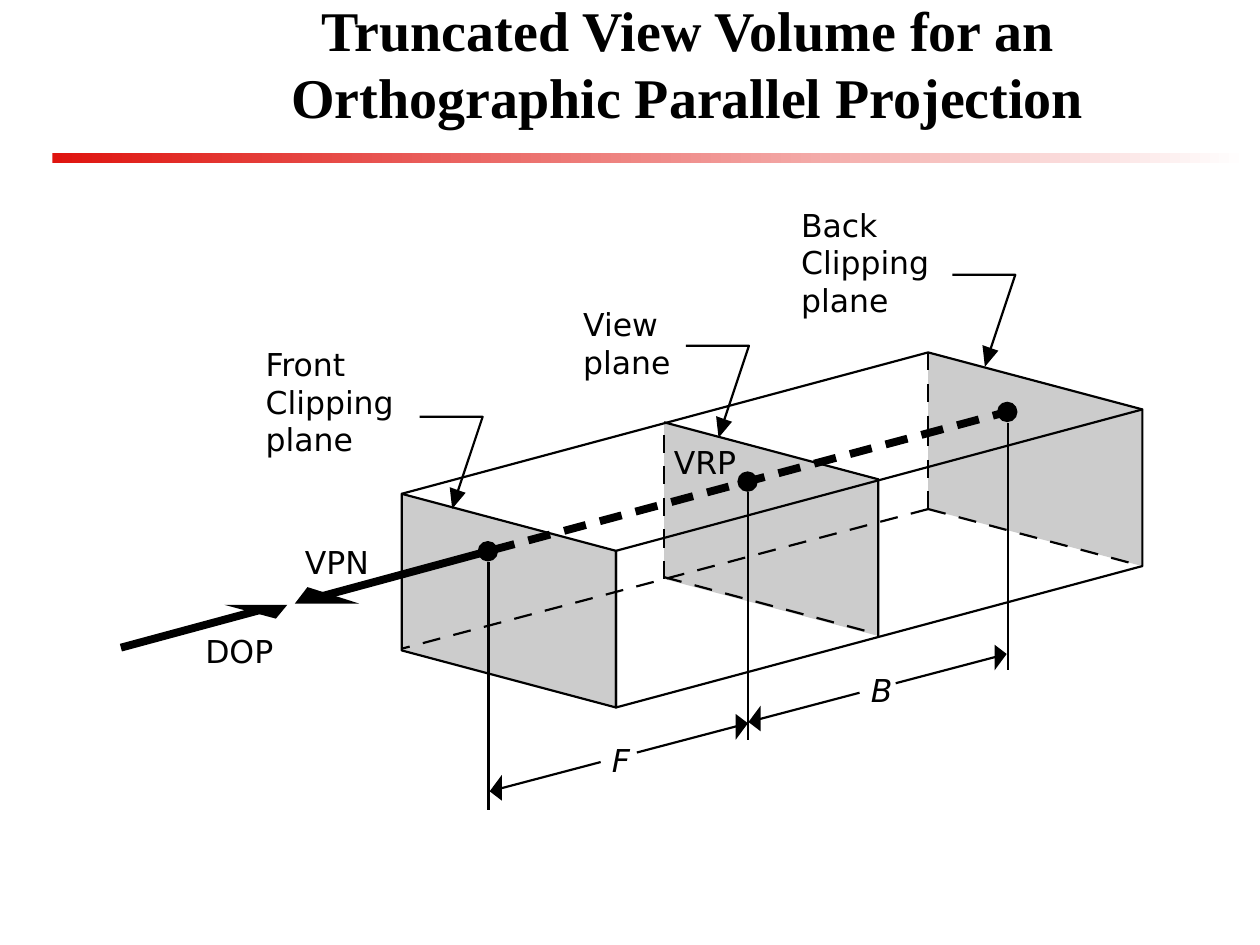
from dataclasses import dataclass
from math import ceil, dist
from typing import NamedTuple, Optional, Sequence

from lxml.etree import SubElement
from pptx import Presentation
from pptx.dml.color import RGBColor
from pptx.enum.shapes import MSO_CONNECTOR, MSO_SHAPE
from pptx.enum.text import MSO_ANCHOR, MSO_AUTO_SIZE, PP_ALIGN
from pptx.oxml.ns import qn
from pptx.util import Pt


class Point(NamedTuple):
    x: float
    y: float

    def moved(self, dx: float, dy: float) -> "Point":
        return Point(self.x + dx, self.y + dy)

    def toward(self, other: "Point", share: float) -> "Point":
        return self.moved((other.x - self.x) * share, (other.y - self.y) * share)


class Dash(NamedTuple):
    length: float
    period: float
    width: float


@dataclass(frozen=True)
class Theme:
    ink: RGBColor = RGBColor(0, 0, 0)
    plane: RGBColor = RGBColor(0xCC, 0xCC, 0xCC)
    rule_start: RGBColor = RGBColor(0xDF, 0x14, 0x0F)
    rule_end: RGBColor = RGBColor(0xFF, 0xFF, 0xFF)
    title_font: str = "Times New Roman"
    label_font: str = "DejaVu Sans"
    title_size: float = 32
    label_size: float = 18
    thin: float = 1.25
    thick: float = 4.5


@dataclass(frozen=True)
class Label:
    text: str
    corner: Point
    width: float
    height: float = 28.8
    italic: bool = False


@dataclass(frozen=True)
class Plane:
    top_left: Point

    @property
    def top_right(self) -> Point:
        return self.top_left.moved(122.4, 32.6)

    @property
    def bottom_right(self) -> Point:
        return self.top_right.moved(0, 89.5)

    @property
    def bottom_left(self) -> Point:
        return self.top_left.moved(0, 89.5)

    @property
    def corners(self) -> list[Point]:
        return [self.top_left, self.top_right, self.bottom_right, self.bottom_left]


THEME = Theme()
HIDDEN_EDGE = Dash(10.3, 18.03, THEME.thin)
HIDDEN_AXIS = Dash(12.9, 21.14, THEME.thick)
FRONT = Plane(Point(229.6, 282.2))
VIEW = Plane(Point(379.5, 241.3))
BACK = Plane(Point(530.4, 201.4))
REFERENCE_POINTS = [Point(278.8 + 148.4 * i, 315 - 39.8 * i) for i in range(3)]
CALLOUT_STARTS = [Point(239.8 + 152.2 * i, 238.2 - 40.6 * i) for i in range(3)]
DIMENSIONS = {"F": Point(279.8, 452.2), "B": Point(427.7, 412.6)}
LABELS = [
    Label("DOP", Point(110.2, 357.8), 58.3),
    Label("VPN", Point(167.2, 306.7), 56.9),
    Label("VRP", Point(378, 249.8), 55.4),
    Label("View\nplane", Point(326.2, 170.8), 69.8, 50.4),
    Label("Front\nClipping\nplane", Point(144.7, 193.5), 96.5, 72),
    Label("Back\nClipping\nplane", Point(450.7, 114), 96.5, 72),
]


def draw_path(shapes, points: Sequence[Point], closed: bool = False,
              fill: Optional[RGBColor] = None, outlined: bool = True) -> None:
    builder = shapes.build_freeform(Pt(points[0].x), Pt(points[0].y))
    builder.add_line_segments([(Pt(p.x), Pt(p.y)) for p in points[1:]], close=closed)
    path = builder.convert_to_shape()
    path.shadow.inherit = False
    if fill is None:
        path.fill.background()
    else:
        path.fill.solid()
        path.fill.fore_color.rgb = fill
    if outlined:
        path.line.color.rgb = THEME.ink
        path.line.width = Pt(THEME.thin)
    else:
        path.line.fill.background()


def draw_head(shapes, points: Sequence[Point]) -> None:
    draw_path(shapes, points, closed=True, fill=THEME.ink, outlined=False)


def draw_line(shapes, start: Point, end: Point, width: float = THEME.thin) -> None:
    edge = shapes.add_connector(MSO_CONNECTOR.STRAIGHT, Pt(start.x), Pt(start.y),
                                Pt(end.x), Pt(end.y))
    edge.line.color.rgb = THEME.ink
    edge.line.width = Pt(width)
    SubElement(edge._element.spPr, qn("a:effectLst"))


def draw_dashes(shapes, start: Point, end: Point, dash: Dash) -> None:
    total = dist(start, end)
    for i in range(ceil(total / dash.period)):
        begin = i * dash.period
        finish = min(begin + dash.length, total)
        draw_line(shapes, start.toward(end, begin / total),
                  start.toward(end, finish / total), dash.width)


def draw_dot(shapes, center: Point, size: float = 10.4) -> None:
    dot = shapes.add_shape(MSO_SHAPE.OVAL, Pt(center.x - size / 2),
                           Pt(center.y - size / 2), Pt(size), Pt(size))
    dot.shadow.inherit = False
    dot.fill.solid()
    dot.fill.fore_color.rgb = THEME.ink
    dot.line.color.rgb = THEME.ink
    dot.line.width = Pt(THEME.thin)


def draw_callout(shapes, start: Point) -> None:
    draw_path(shapes, [start, start.moved(36, 0), start.moved(21.8, 42.6)])
    draw_head(shapes, [start.moved(*offset) for offset in
                       ((21.6, 41.8), (26.3, 43.4), (18.6, 52.6), (17.2, 40.2))])


def draw_label(shapes, label: Label) -> None:
    caption = shapes.add_textbox(Pt(label.corner.x), Pt(label.corner.y),
                                 Pt(label.width), Pt(label.height))
    frame = caption.text_frame
    frame.text = label.text
    frame.word_wrap = False
    frame.auto_size = MSO_AUTO_SIZE.SHAPE_TO_FIT_TEXT
    for paragraph in frame.paragraphs:
        for run in paragraph.runs:
            run.font.name = THEME.label_font
            run.font.size = Pt(THEME.label_size)
            run.font.italic = label.italic
            run.font.color.rgb = THEME.ink


def draw_dimension(shapes, name: str, tip: Point) -> None:
    far_tip = tip.moved(147.6, -38.9)
    for inner, outer, point, side in ((0.43, 0.04, tip, 1), (0.57, 0.96, far_tip, -1)):
        draw_line(shapes, tip.toward(far_tip, inner), tip.toward(far_tip, outer))
        draw_head(shapes, [point, point.moved(7 * side, -9.4 * side),
                           point.moved(7 * side, 5.3 * side)])
    draw_label(shapes, Label(name, tip.moved(62.8, -32.5), 27, italic=True))


def draw_heading(shapes) -> None:
    rule = shapes.add_shape(MSO_SHAPE.RECTANGLE, Pt(30), Pt(87.3), Pt(684), Pt(5.8))
    rule.shadow.inherit = False
    rule.line.fill.background()
    rule.fill.gradient()
    rule.fill.gradient_angle = 0
    for stop, color in zip(rule.fill.gradient_stops, (THEME.rule_start, THEME.rule_end)):
        stop.color.rgb = color
    title = shapes.add_textbox(Pt(84.2), Pt(5.8), Pt(617.8), Pt(59.8)).text_frame
    title.text = "Truncated View Volume for an Orthographic Parallel Projection"
    title.word_wrap = True
    title.vertical_anchor = MSO_ANCHOR.MIDDLE
    heading = title.paragraphs[0]
    heading.alignment = PP_ALIGN.CENTER
    font = heading.runs[0].font
    font.name, font.size, font.bold = THEME.title_font, Pt(THEME.title_size), True
    font.color.rgb = THEME.ink


def draw_volume(shapes) -> None:
    for plane in (VIEW, BACK, FRONT):
        draw_path(shapes, plane.corners, closed=True, fill=THEME.plane, outlined=False)
    draw_path(shapes, FRONT.corners, closed=True)
    draw_path(shapes, [BACK.top_right, FRONT.top_right, FRONT.bottom_right,
                       BACK.bottom_right], closed=True)
    draw_path(shapes, [FRONT.top_left, BACK.top_left, BACK.top_right])
    draw_path(shapes, [VIEW.top_left, VIEW.top_right, VIEW.bottom_right])
    middle = BACK.top_left.moved(0, 43.4)
    for start, end in ((BACK.bottom_left, BACK.bottom_right),
                       (BACK.bottom_left, FRONT.bottom_left.moved(0, -1)),
                       (BACK.top_left, middle.moved(0, 2.9)),
                       (middle, BACK.bottom_left),
                       (VIEW.top_left.moved(0, 7.2), VIEW.bottom_left),
                       (VIEW.bottom_left.moved(0, -1), VIEW.bottom_right.moved(-4, -2))):
        draw_dashes(shapes, start, end, HIDDEN_EDGE)


def draw_axis(shapes) -> None:
    draw_line(shapes, Point(69.1, 370.1), Point(149, 348.5), THEME.thick)
    draw_head(shapes, [Point(128.2, 345.6), Point(164.2, 345.6), Point(157.7, 353.5)])
    draw_line(shapes, Point(184.3, 340.6), REFERENCE_POINTS[0], THEME.thick)
    draw_head(shapes, [Point(205.2, 344.9), Point(168.5, 344.9), Point(175.7, 335.5)])
    draw_dashes(shapes, REFERENCE_POINTS[0].moved(2.7, -0.7),
                REFERENCE_POINTS[2].moved(-3.2, 0.8), HIDDEN_AXIS)
    for center in REFERENCE_POINTS:
        draw_line(shapes, center.moved(0.4, 6.2), center.moved(0.4, 147.6))
        draw_dot(shapes, center)


def main() -> None:
    deck = Presentation()
    deck.slide_width, deck.slide_height = Pt(720), Pt(540)
    shapes = deck.slides.add_slide(deck.slide_layouts[6]).shapes
    draw_heading(shapes)
    draw_volume(shapes)
    draw_axis(shapes)
    for name, tip in DIMENSIONS.items():
        draw_dimension(shapes, name, tip)
    for start in CALLOUT_STARTS:
        draw_callout(shapes, start)
    for label in LABELS:
        draw_label(shapes, label)
    deck.save("out.pptx")


if __name__ == "__main__":
    main()
